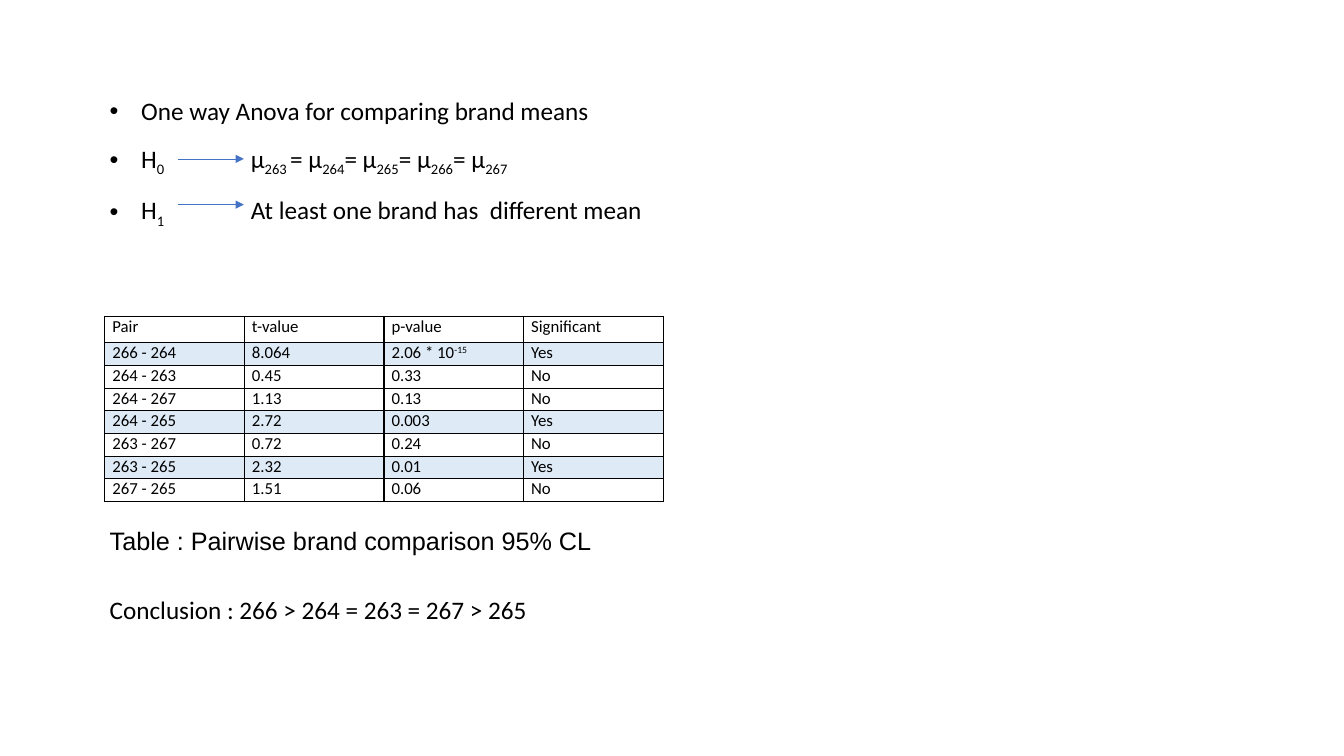
from lxml import etree
from pptx import Presentation
from pptx.dml.color import RGBColor
from pptx.enum import shapes, text
from pptx.oxml import ns
from pptx.util import Pt

BLACK = RGBColor(0x00, 0x00, 0x00)
ARROW_BLUE = RGBColor(0x44, 0x72, 0xC4)
PALE_BLUE = RGBColor(0xDE, 0xEB, 0xF7)
BLANK_LAYOUT = 6
LEFT = 71.3
SUBSCRIPT, SUPERSCRIPT = "-25000", "30000"


def add_child(parent, tag, **attributes):
    return etree.SubElement(parent, ns.qn(tag), attributes)


def set_values(target, values):
    for name, value in values.items():
        setattr(target, name, value)


class SlideBuilder:
    body = {"name": "Calibri", "size": Pt(18)}
    caption = {"name": "Arial", "size": Pt(18)}
    cell_font = {"name": "Calibri", "size": Pt(12)}
    cell_margins = {"margin_left": Pt(5.4), "margin_right": Pt(5.4),
                    "margin_top": 0, "margin_bottom": 0}

    def __init__(self, slide):
        self.slide = slide

    def add_runs(self, paragraph, pieces, font):
        for piece in pieces:
            content, baseline = piece if isinstance(piece, tuple) else (piece, None)
            run = paragraph.add_run()
            run.text = content
            set_values(run.font, font)
            run.font.color.rgb = BLACK
            if baseline:
                run.font._element.set("baseline", baseline)

    def text_box(self, top, width, height, lines, font,
                 anchor=text.MSO_ANCHOR.TOP, bulleted=False):
        frame = self.slide.shapes.add_textbox(
            Pt(LEFT), Pt(top), Pt(width), Pt(height)).text_frame
        set_values(frame, {"word_wrap": True, "vertical_anchor": anchor})
        for index, pieces in enumerate(lines):
            paragraph = frame.add_paragraph() if index else frame.paragraphs[0]
            if bulleted:
                self.bullet(paragraph)
            self.add_runs(paragraph, pieces, font)

    def bullet(self, paragraph, indent=22.5, tab=100.8):
        paragraph.line_spacing = 1.5
        properties = paragraph._p.get_or_add_pPr()
        properties.set("marL", str(Pt(indent)))
        properties.set("indent", str(-Pt(indent)))
        add_child(properties, "a:buFont", typeface="Arial")
        add_child(properties, "a:buChar", char="•")
        tabs = add_child(properties, "a:tabLst")
        add_child(tabs, "a:tab", pos=str(Pt(tab)), algn="l")

    def arrow(self, start, end, y):
        connector = self.slide.shapes.add_connector(
            shapes.MSO_CONNECTOR.STRAIGHT, Pt(start), Pt(y), Pt(end), Pt(y))
        connector.line.color.rgb = ARROW_BLUE
        connector.line.width = Pt(0.5)
        add_child(connector.line._get_or_add_ln(), "a:tailEnd", type="triangle")
        add_child(connector._element.spPr, "a:effectLst")

    def border(self, cell):
        properties = cell._tc.get_or_add_tcPr()
        for position, side in enumerate(("a:lnL", "a:lnR", "a:lnT", "a:lnB")):
            line = etree.Element(ns.qn(side), w=str(Pt(1)))
            fill = add_child(line, "a:solidFill")
            add_child(fill, "a:srgbClr", val=str(BLACK))
            properties.insert(position, line)

    def table(self, left, top, column_width, header_height, row_height, rows):
        columns = len(rows[0])
        height = header_height + row_height * (len(rows) - 1)
        table = self.slide.shapes.add_table(
            len(rows), columns, Pt(left), Pt(top),
            Pt(column_width * columns), Pt(height)).table
        set_values(table, {"first_row": False, "horz_banding": False})
        for column in table.columns:
            column.width = Pt(column_width)
        for index, values in enumerate(rows):
            table.rows[index].height = Pt(row_height if index else header_height)
            for column, value in enumerate(values):
                cell = table.cell(index, column)
                set_values(cell, self.cell_margins)
                if values[-1] == "Yes":
                    cell.fill.solid()
                    cell.fill.fore_color.rgb = PALE_BLUE
                else:
                    cell.fill.background()
                self.border(cell)
                pieces = value if isinstance(value, list) else [value]
                self.add_runs(cell.text_frame.paragraphs[0], pieces, self.cell_font)


presentation = Presentation()
set_values(presentation, {"slide_width": Pt(960), "slide_height": Pt(540)})
builder = SlideBuilder(presentation.slides.add_slide(
    presentation.slide_layouts[BLANK_LAYOUT]))

brand_means = []
for index, brand in enumerate(range(263, 268)):
    brand_means += ["= µ" if index else "µ",
                    (f"{brand}" if index else f"{brand} ", SUBSCRIPT)]
hypotheses = [
    ["One way Anova for comparing brand means"],
    ["H", ("0", SUBSCRIPT), "\t"] + brand_means,
    ["H", ("1", SUBSCRIPT), "\tAt least one brand has  different mean"],
]
builder.text_box(54, 405.4, 149, hypotheses, builder.body, bulleted=True)
for arrow_y in (113.5, 146.2):
    builder.arrow(127.4, 174.2, arrow_y)

comparisons = [
    ("Pair", "t-value", "p-value", "Significant"),
    ("266 - 264", "8.064", ["2.06 * 10", ("-15", SUPERSCRIPT)], "Yes"),
    ("264 - 263", "0.45", "0.33", "No"),
    ("264 - 267", "1.13", "0.13", "No"),
    ("264 - 265", "2.72", "0.003", "Yes"),
    ("263 - 267", "0.72", "0.24", "No"),
    ("263 - 265", "2.32", "0.01", "Yes"),
    ("267 - 265", "1.51", "0.06", "No"),
]
builder.table(74.9, 226.2, 99.7, 18.7, 16.2, comparisons)

builder.text_box(368, 405.4, 36, [["Table : Pairwise brand comparison 95% CL"]],
                 builder.caption, anchor=text.MSO_ANCHOR.MIDDLE)
builder.text_box(421.2, 405.4, 29, [["Conclusion : 266 > 264 = 263 = 267 > 265"]],
                 builder.body)

presentation.save("out.pptx")
